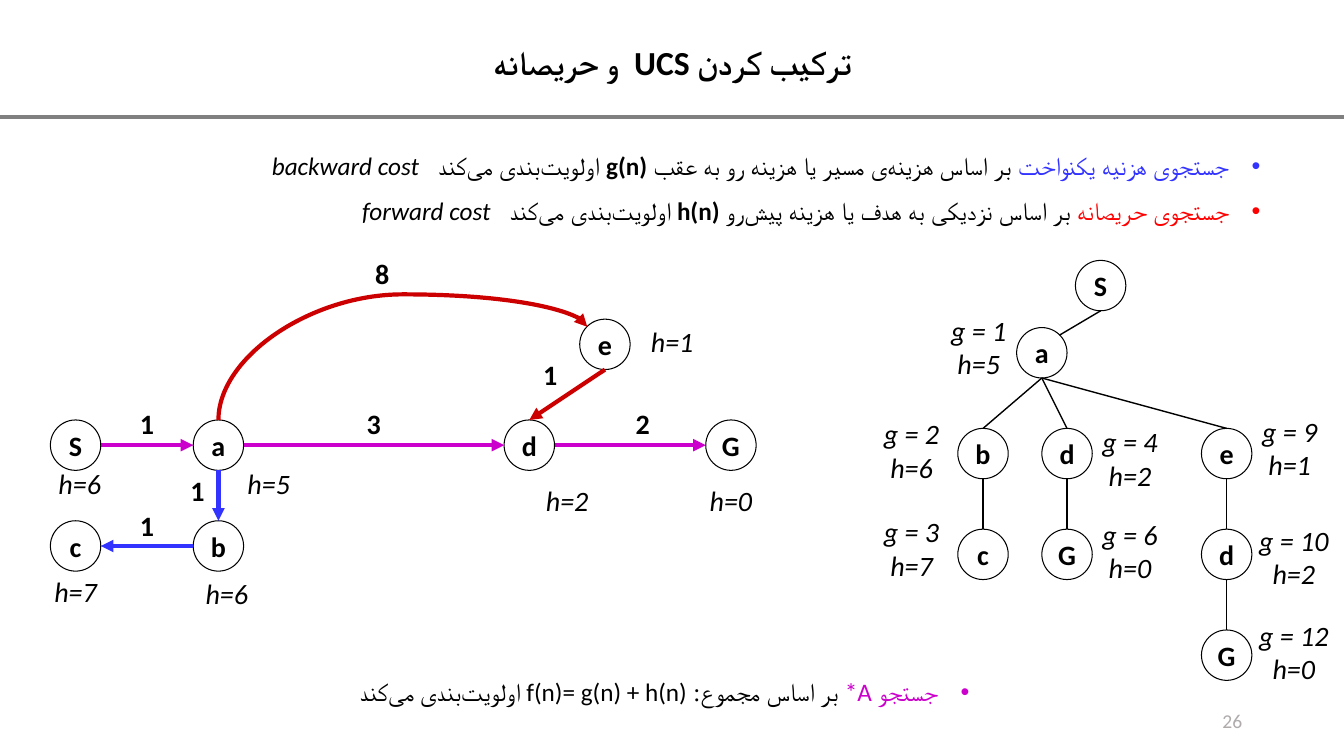
from lxml.etree import SubElement
from pptx import Presentation
from pptx.dml.color import RGBColor
from pptx.enum.shapes import MSO_CONNECTOR, MSO_SHAPE
from pptx.enum.text import MSO_ANCHOR, MSO_AUTO_SIZE, PP_ALIGN
from pptx.oxml.ns import qn
from pptx.util import Inches, Pt

LATIN, PERSIAN = "Calibri", "Times New Roman"
BLACK, BLUE, RED, PURPLE = "000000", "3333FF", "CC0000", "CC00CC"
GREY, PALE, WHITE, BRIGHT_RED = "808080", "AFABAB", "FFFFFF", "FF0000"
BOLD, ITALIC = {"bold": True}, {"italic": True}

# Sentences: runs of (text, font, colour, style)
NON_JOINER = chr(0x200C)
PRIORITISES = f"اولویت{NON_JOINER}بندی می{NON_JOINER}کند"
TITLE = [("ترکیب کردن UCS  و حریصانه", LATIN, BLACK, BOLD)]
SEARCHES = [
    [("جستجوی هزنیه یکنواخت ", PERSIAN, BLUE, {}),
     (f"بر اساس هزینه{NON_JOINER}ی مسیر یا هزینه رو به عقب ", PERSIAN, BLACK, {}),
     ("g(n)", LATIN, BLACK, BOLD),
     (f" {PRIORITISES}   ", PERSIAN, BLACK, {}),
     ("backward cost", LATIN, BLACK, ITALIC)],
    [("جستجوی حریصانه", PERSIAN, BRIGHT_RED, {}),
     (f" بر اساس نزدیکی به هدف یا هزینه پیش{NON_JOINER}رو ", PERSIAN, BLACK, {}),
     ("h(n) ", LATIN, BLACK, BOLD),
     (f"{PRIORITISES}   ", PERSIAN, BLACK, {}),
     ("forward cost", LATIN, BLACK, ITALIC)],
]
A_STAR = [("جستجو ", PERSIAN, PURPLE, {}),
          ("A*", LATIN, PURPLE, {}),
          (" بر اساس مجموع: ", PERSIAN, BLACK, {}),
          (f"f(n)= g(n) + h(n) {PRIORITISES}", LATIN, BLACK, {})]

# The diagrams lie on a grid of twelfths of an inch
CELL = 1 / 12
NODE = 6

# Nodes: key -> (column, row); the first letter of the key is the label
GRAPH = {"S": (6, 50), "a": (23, 50), "d": (60, 50), "G": (84, 50),
         "e": (69, 38), "b": (23, 62), "c": (6, 62)}
TREE = {"S1": (128, 31), "a1": (121, 39), "b1": (114, 51), "c1": (114, 63),
        "d1": (124, 51), "G1": (124, 63), "e1": (143, 51), "d2": (143, 63),
        "G2": (143, 75)}
NODES = {**GRAPH, **TREE}

# Edges: (from, side, to, side, colour)
ARROWS = [("a", "bottom", "b", "top", BLUE), ("b", "left", "c", "right", BLUE),
          ("e", "bottom", "d", "top", RED),
          ("S", "right", "a", "left", PURPLE),
          ("a", "right", "d", "left", PURPLE),
          ("d", "right", "G", "left", PURPLE)]
DETOUR = ("a", "top", "e", "top left", RED)
BRANCHES = [("S1", "bottom", "a1", "top right", BLACK)] + [
    (parent, "bottom", child, "top", BLACK) for parent, child in
    [("a1", "b1"), ("a1", "d1"), ("a1", "e1"), ("b1", "c1"), ("d1", "G1"),
     ("e1", "d2"), ("d2", "G2")]]
SIDES = {"top": (0.5, 0), "left": (0, 0.5), "bottom": (0.5, 1),
         "right": (1, 0.5), "top left": (0.15, 0.15), "top right": (0.85, 0.15)}

# Labels: (text, column, row, columns wide)
STEP_COSTS = [("1", 14, 47.8, 7), ("8", 43, 30, 5), ("1", 14, 60, 7),
              ("1", 20, 55.8, 7), ("2", 73, 47.8, 7), ("3", 41, 47.8, 7),
              ("1", 62, 42, 7)]
HEURISTICS = [("h=5", 26, 55, 12), ("h=6", 22, 68, 10), ("h=2", 63, 57, 9),
              ("h=6", 4, 55, 11), ("h=0", 81, 57, 12), ("h=7", 4, 67.8, 10),
              ("h=1", 75, 38, 10)]
TREE_COSTS = [("g = 1\vh=5", 111, 36.7, 11), ("g = 2\vh=6", 103, 49, 11),
              ("g = 3\vh=7", 103, 60.7, 11), ("g = 4\vh=2", 129, 50, 11),
              ("g = 6\vh=0", 129, 61, 11), ("g = 9\vh=1", 148, 48.7, 11),
              ("g = 10\vh=2", 148, 61.7, 12), ("g = 12\vh=0", 148, 73, 12)]

deck = Presentation()
deck.slide_width, deck.slide_height = Inches(13.33), Inches(7.5)
slide = deck.slides.add_slide(deck.slide_layouts[1])
shapes = slide.shapes


def rgb(code):
    return RGBColor.from_string(code)


def format_run(run, size, font=LATIN, colour=BLACK, style=None):
    values = {"size": Pt(size), "name": font, "bold": False, "italic": False,
              **(style or {})}
    for name, value in values.items():
        setattr(run.font, name, value)
    run.font.color.rgb = rgb(colour)
    SubElement(run._r.get_or_add_rPr(), qn("a:cs"), typeface=font)


def place(box, left, top, width, height):
    bounds = {"left": left, "top": top, "width": width, "height": height}
    for name, value in bounds.items():
        setattr(box, name, Inches(value))


def write_persian(paragraph, sentence, size, align, spacing, bullet=False):
    properties = paragraph._p.get_or_add_pPr()
    properties.set("rtl", "1")
    if bullet:
        properties.set("marL", str(Inches(0.31)))
        properties.set("indent", str(-Inches(0.31)))
        SubElement(properties, qn("a:buFont"), typeface="Arial")
        SubElement(properties, qn("a:buChar"), char="•")
    layout = {"alignment": align, "line_spacing": spacing, "space_before": Pt(0)}
    for name, value in layout.items():
        setattr(paragraph, name, value)
    for text, font, colour, style in sentence:
        run = paragraph.add_run()
        run.text = text
        format_run(run, size, font, colour, style)


def write_label(frame, text, size=20, align=PP_ALIGN.CENTER, **style):
    paragraph = frame.paragraphs[0]
    paragraph.text = text
    paragraph.alignment = align
    for run in paragraph.runs:
        format_run(run, size, **style)


def add_text_box(left, top, width, height):
    box = shapes.add_textbox(*map(Inches, (left, top, width, height)))
    box.text_frame.word_wrap = True
    return box.text_frame


def add_line(start, end, colour, width, arrow=False, kind=MSO_CONNECTOR.STRAIGHT):
    line = shapes.add_connector(kind, *map(Inches, (*start, *end)))
    line.line.color.rgb = rgb(colour)
    line.line.width = Pt(width)
    if arrow:
        SubElement(line.get_or_add_ln(), qn("a:tailEnd"), type="triangle")
    SubElement(line._element.spPr, qn("a:effectLst"))
    return line


def anchor(node, side):
    return tuple((cell + NODE * share) * CELL
                 for cell, share in zip(NODES[node], SIDES[side]))


# Title and rule
title = shapes.title
place(title, 0.73, 0.17, 11.88, 0.94)
title.text_frame.vertical_anchor = MSO_ANCHOR.MIDDLE
write_persian(title.text_frame.paragraphs[0], TITLE, 24, PP_ALIGN.CENTER, 0.9)
add_line((0, 1.16), (13.33, 1.16), GREY, 3)

# Two searches, then their combination
body = slide.placeholders[1]
place(body, 0.12, 1.29, 12.48, 0.97)
body.text_frame.auto_size = MSO_AUTO_SIZE.NONE
for index, sentence in enumerate(SEARCHES):
    paragraph = (body.text_frame.add_paragraph() if index
                 else body.text_frame.paragraphs[0])
    write_persian(paragraph, sentence, 18, PP_ALIGN.RIGHT, 1.5, bullet=True)
combination = add_text_box(2.72, 6.66, 7.74, 0.4)
write_persian(combination.paragraphs[0], A_STAR, 18, PP_ALIGN.CENTER, 1.0, bullet=True)

# Nodes of the graph and of the search tree
for key, (column, row) in NODES.items():
    node = shapes.add_shape(MSO_SHAPE.OVAL, *(
        Inches(n * CELL) for n in (column, row, NODE, NODE)))
    node.shadow.inherit = False
    node.fill.solid()
    node.fill.fore_color.rgb = rgb(WHITE)
    node.line.color.rgb = rgb(BLACK)
    node.line.width = Pt(0.75)
    node.text_frame.word_wrap = False
    node.text_frame.vertical_anchor = MSO_ANCHOR.MIDDLE
    write_label(node.text_frame, key[0], style=BOLD)

# Edges
for edges, width, arrow in ((ARROWS, 3, True), (BRANCHES, 1, False)):
    for parent, out_side, child, in_side, colour in edges:
        add_line(anchor(parent, out_side), anchor(child, in_side), colour, width, arrow)

# Curved edge: a quarter turn lets it leave upwards and arrive downwards
parent, out_side, child, in_side, colour = DETOUR
(x1, y1), (x2, y2) = anchor(parent, out_side), anchor(child, in_side)
detour = add_line((x1, y1), (x2, y2), colour, 3, True, MSO_CONNECTOR.CURVE)
across, rise = x2 - x1, y1 - y2
detour_frame = detour._element.spPr.find(qn("a:xfrm"))
detour_frame.attrib.pop("flipV", None)
detour_frame.set("rot", str(270 * 60000))
place(detour, (x1 + x2 - rise) / 2, (y1 + y2 - across) / 2, rise, across)
adjustments = detour._element.spPr.find(qn("a:prstGeom")).get_or_add_avLst()
SubElement(adjustments, qn("a:gd"), name="adj1", fmla="val 134800")

# Costs and heuristic values
for labels, style, height in ((STEP_COSTS, BOLD, 0.43), (HEURISTICS, ITALIC, 0.43),
                              (TREE_COSTS, ITALIC, 0.77)):
    for text, column, row, columns in labels:
        label = add_text_box(column * CELL, row * CELL, columns * CELL, height)
        write_label(label, text, style=style)

# Slide number
number = add_text_box(9.42, 6.95, 3, 0.4)
number.vertical_anchor = MSO_ANCHOR.MIDDLE
write_label(number, "26", 14, PP_ALIGN.RIGHT, colour=PALE)

deck.save("out.pptx")
